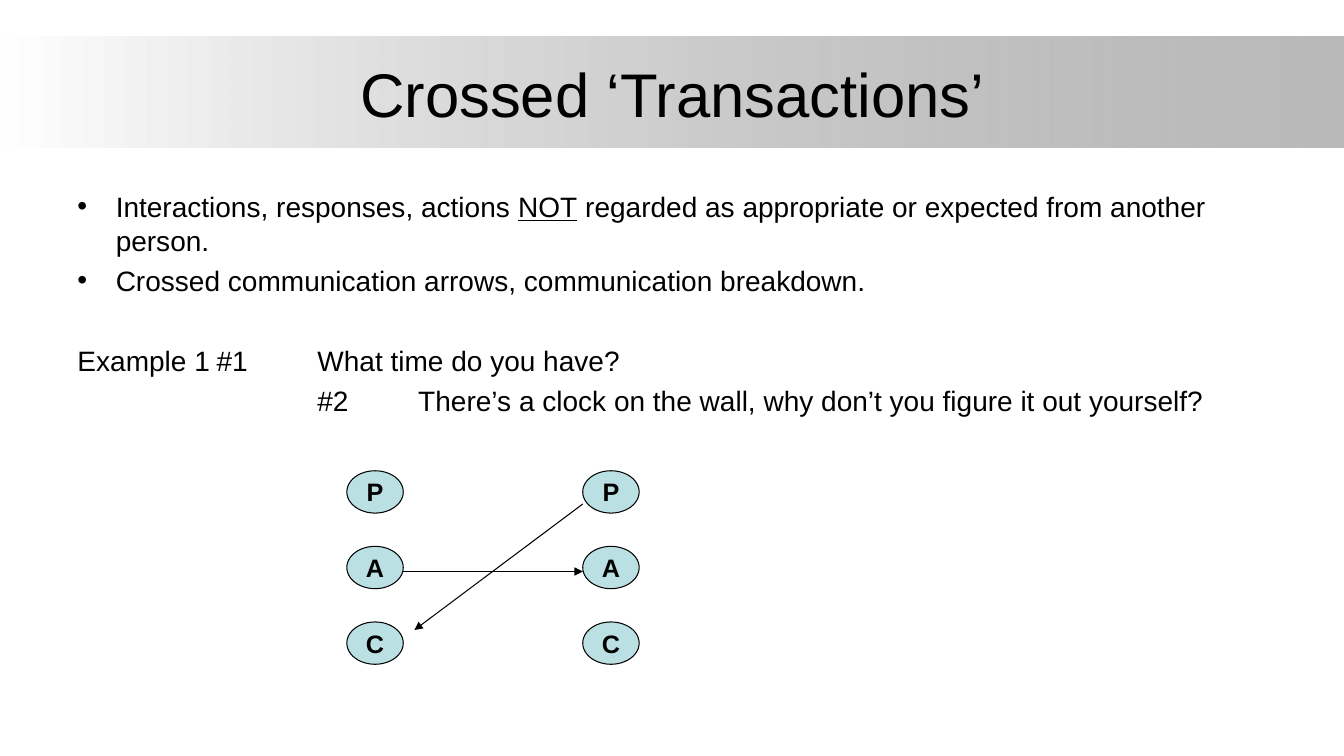
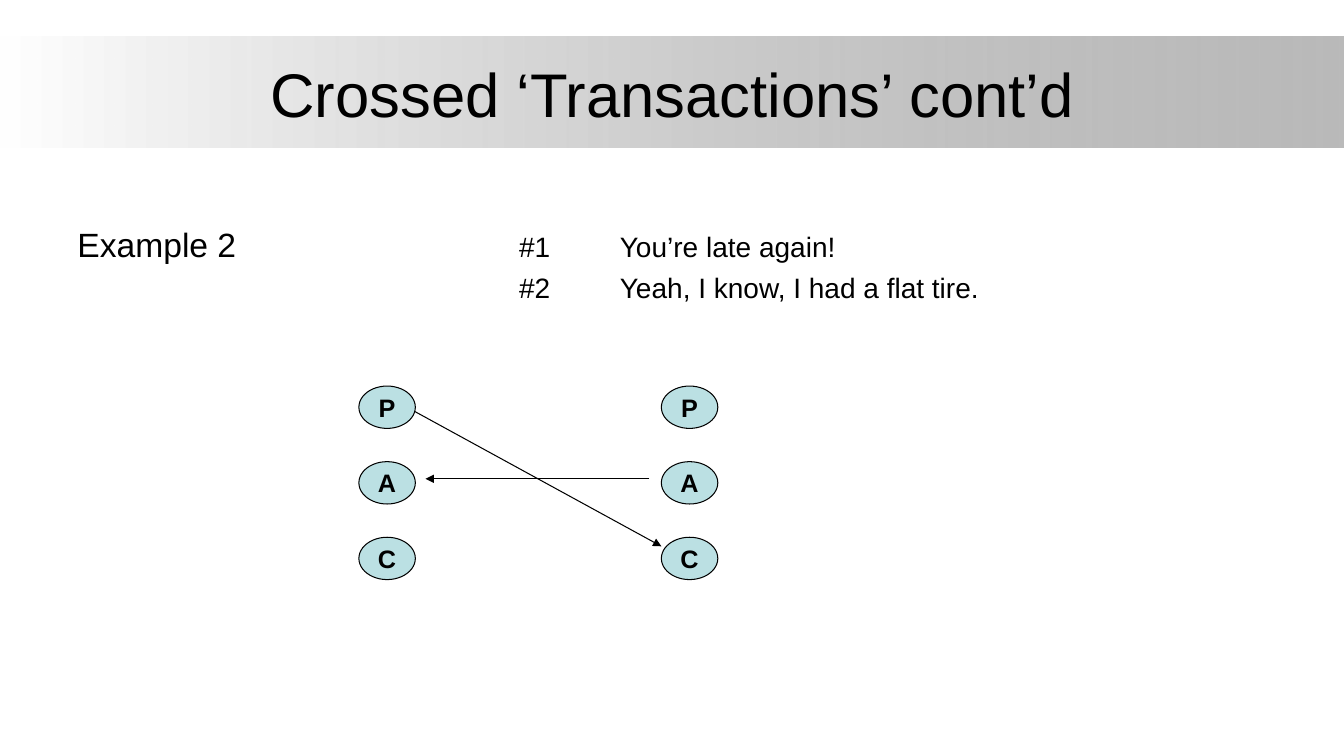
import pptx
import pptx.dml.color
import pptx.enum.shapes
import pptx.enum.text
import pptx.oxml
import pptx.oxml.ns
import pptx.util
from pptx.util import Inches, Pt

SHAPE = pptx.enum.shapes.MSO_SHAPE
ALIGN = pptx.enum.text.PP_ALIGN
ANCHOR = pptx.enum.text.MSO_ANCHOR


def rgb(value):
    return pptx.dml.color.RGBColor.from_string(value)


def add_xml(parent, tag, **attrs):
    el = pptx.oxml.parse_xml(f'<a:{tag} {pptx.oxml.ns.nsdecls("a")}/>')
    for name, value in attrs.items():
        el.set(name, str(value))
    parent.append(el)
    return el


class Deck:
    """Holds the shared style and the slide being built."""

    FONT = "Arial"
    INK = "000000"
    PAPER = "FFFFFF"
    BAND = "808080"
    NODE = "BBE0E3"
    LEFT, WIDTH = 0.67, 12
    NODE_W, NODE_H, NODE_STEP = 0.56, 0.42, 0.75
    HANG = 0.38

    def __init__(self):
        self.prs = pptx.Presentation()
        self.prs.slide_width = Inches(13.33)
        self.prs.slide_height = Inches(7.5)
        self.slide = None

    def add_slide(self, title):
        self.slide = self.prs.slides.add_slide(self.prs.slide_layouts[6])
        self.band()
        tf = self.text_frame(0.3, 1.25)
        tf.vertical_anchor = ANCHOR.MIDDLE
        p = tf.paragraphs[0]
        p.text = title
        p.alignment = ALIGN.CENTER
        self.style(p, 44)

    def style(self, p, size, bold=False):
        p.font.name = self.FONT
        p.font.size = Pt(size)
        p.font.bold = bold
        p.font.color.rgb = rgb(self.INK)

    def band(self):
        sp = self.slide.shapes.add_shape(
            SHAPE.RECTANGLE, 0, Inches(0.36), self.prs.slide_width, Inches(1.1))
        sp.shadow.inherit = False
        sp.line.fill.background()
        sp.fill.gradient()
        sp.fill.gradient_angle = 0
        for stop, color in zip(sp.fill.gradient_stops, (self.PAPER, self.BAND)):
            stop.color.rgb = rgb(color)
        add_xml(sp._element.xpath(".//a:gs/a:srgbClr")[-1], "alpha", val=54000)

    def text_frame(self, top, height):
        box = self.slide.shapes.add_textbox(
            Inches(self.LEFT), Inches(top), Inches(self.WIDTH), Inches(height))
        box.text_frame.word_wrap = True
        return box.text_frame

    def paragraph(self, tf, runs, before=4.8, bullet=False, tabs=()):
        p = tf.paragraphs[0]
        if p.runs:
            p = tf.add_paragraph()
        self.style(p, 20)
        p.space_before = Pt(before)
        for text, size, underline in runs:
            r = p.add_run()
            r.text = text
            if size:
                r.font.size = Pt(size)
            if underline:
                r.font.underline = True
        props = p._p.get_or_add_pPr()
        mark = props.find(pptx.oxml.ns.qn("a:defRPr"))
        props.remove(mark)
        if bullet:
            props.set("marL", str(Inches(self.HANG)))
            props.set("indent", str(-Inches(self.HANG)))
            add_xml(props, "buFont", typeface=self.FONT)
            add_xml(props, "buChar", char="•")
        if tabs:
            stops = add_xml(props, "tabLst")
            for pos in tabs:
                add_xml(stops, "tab", pos=Inches(pos), algn="l")
        props.append(mark)

    def node(self, letter, left, top):
        sp = self.slide.shapes.add_shape(
            SHAPE.FLOWCHART_CONNECTOR, Inches(left), Inches(top),
            Inches(self.NODE_W), Inches(self.NODE_H))
        sp.shadow.inherit = False
        sp.fill.solid()
        sp.fill.fore_color.rgb = rgb(self.NODE)
        sp.line.color.rgb = rgb(self.INK)
        sp.line.width = Pt(0.75)
        tf = sp.text_frame
        tf.word_wrap = False
        tf.vertical_anchor = ANCHOR.MIDDLE
        p = tf.paragraphs[0]
        p.text = letter
        p.alignment = ALIGN.CENTER
        self.style(p, 18, bold=True)

    def ego_states(self, lefts, top):
        for left in lefts:
            for row, letter in enumerate("PAC"):
                self.node(letter, left, top + row * self.NODE_STEP)

    def arrow(self, x1, y1, x2, y2):
        line = self.slide.shapes.add_connector(
            pptx.enum.shapes.MSO_CONNECTOR.STRAIGHT,
            Inches(x1), Inches(y1), Inches(x2), Inches(y2))
        line.line.color.rgb = rgb(self.INK)
        line.line.width = Pt(0.75)
        add_xml(line.line._get_or_add_ln(), "tailEnd", type="triangle")
        add_xml(line._element.spPr, "effectLst")


def main():
    deck = Deck()

    deck.add_slide("Crossed ‘Transactions’")
    tf = deck.text_frame(1.83, 2.83)
    deck.paragraph(tf, [
        ("Interactions, responses, actions ", None, False),
        ("NOT", None, True),
        (" regarded as appropriate or expected from another person.", None, False),
    ], before=0, bullet=True)
    deck.paragraph(tf, [
        ("Crossed communication arrows, communication breakdown.", None, False),
    ], bullet=True)
    deck.paragraph(tf, [
        ("Example 1\t#1\tWhat time do you have?", None, False),
    ], before=33, tabs=(1.38, 2.38))
    deck.paragraph(tf, [
        ("\t#2\tThere’s a clock on the wall, why don’t you figure it out yourself?",
         None, False),
    ], tabs=(2.38, 3.38))
    deck.ego_states((3.44, 5.78), 4.67)
    deck.arrow(4, 5.67, 5.78, 5.67)
    deck.arrow(5.78, 5, 4.11, 6.25)

    deck.add_slide("Crossed ‘Transactions’ cont’d")
    tf = deck.text_frame(2.17, 1.25)
    tabs = (4.38, 5.38)
    deck.paragraph(tf, [
        ("Example 2", 24, False),
        ("\t#1\tYou’re late again!", None, False),
    ], before=0, tabs=tabs)
    deck.paragraph(tf, [
        ("\t#2\tYeah, I know, I had a flat tire.", None, False),
    ], tabs=tabs)
    deck.ego_states((3.56, 6.56), 3.83)
    deck.arrow(4.11, 4.08, 6.56, 5.42)
    deck.arrow(6.44, 4.75, 4.22, 4.75)

    deck.prs.save("out.pptx")


if __name__ == "__main__":
    main()
